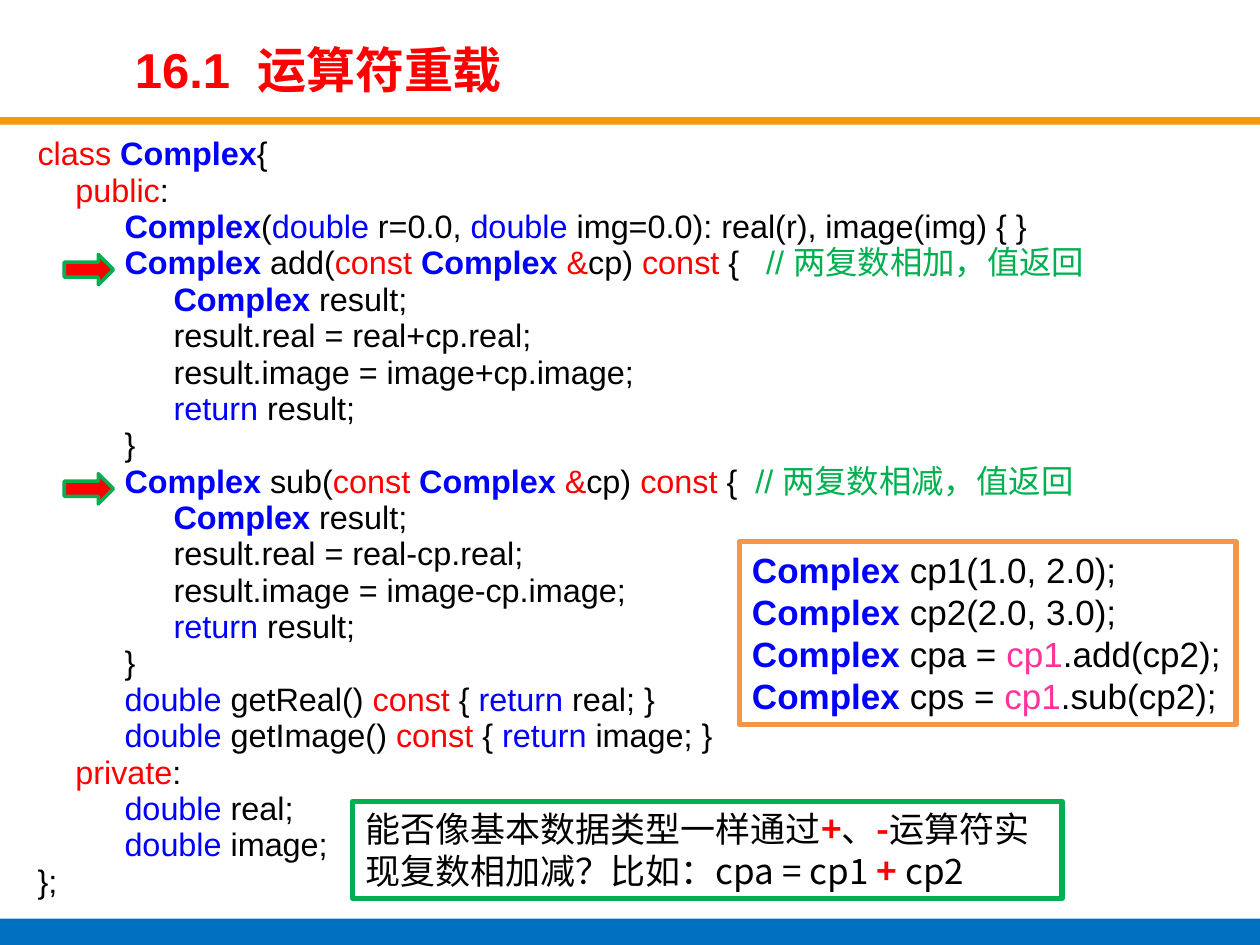
from itertools import groupby

from lxml.etree import SubElement
from pptx import Presentation
from pptx.dml.color import RGBColor
from pptx.enum.shapes import MSO_SHAPE
from pptx.enum.text import MSO_ANCHOR, PP_ALIGN
from pptx.oxml.ns import qn
from pptx.util import Inches, Pt

BLACK = RGBColor(0, 0, 0)
WHITE = RGBColor(255, 255, 255)
RED = RGBColor(255, 0, 0)
BLUE = RGBColor(0, 0, 255)
GREEN = RGBColor(0, 176, 80)
PINK = RGBColor(255, 51, 153)
ORANGE = RGBColor(247, 150, 70)
RULE_ORANGE = RGBColor(247, 153, 10)
FOOTER_BLUE = RGBColor(0, 112, 192)

LATIN, CJK = "Arial", "Noto Sans CJK SC"
PLAIN = (BLACK, False)
KEYWORDS = {
    **dict.fromkeys(["class", "public", "private", "const", "&"], (RED, False)),
    **dict.fromkeys(["double", "return"], (BLUE, False)),
    "Complex": (BLUE, True),
}
CALL_WORDS = {**KEYWORDS, "cp1": (PINK, False)}
OPERATORS = dict.fromkeys("+-", (RED, True))

INDENTS = [0, 0.3, 0.69, 1.08]
LINE_PITCH = 0.29
CODE = [
    (0, "class Complex{"),
    (1, "public:"),
    (2, "Complex(double r=0.0, double img=0.0): real(r), image(img) { }"),
    (2, "Complex add(const Complex &cp) const {   // 两复数相加，值返回"),
    (3, "Complex result;"),
    (3, "result.real = real+cp.real;"),
    (3, "result.image = image+cp.image;"),
    (3, "return result;"),
    (2, "}"),
    (2, "Complex sub(const Complex &cp) const {  // 两复数相减，值返回"),
    (3, "Complex result;"),
    (3, "result.real = real-cp.real;"),
    (3, "result.image = image-cp.image;"),
    (3, "return result;"),
    (2, "}"),
    (2, "double getReal() const { return real; }"),
    (2, "double getImage() const { return image; }"),
    (1, "private:"),
    (2, "double real;"),
    (2, "double image;"),
    (0, "};"),
]
USAGE = [
    "Complex cp1(1.0, 2.0);",
    "Complex cp2(2.0, 3.0);",
    "Complex cpa = cp1.add(cp2);",
    "Complex cps = cp1.sub(cp2);",
]
NOTE = "能否像基本数据类型一样通过+、-运算符实现复数相加减？比如：cpa = cp1 + cp2"


def add_run(p, text, style, size, font):
    """Append one run in the given (colour, bold) style."""
    r = p.add_run()
    r.text = text
    r.font.size, r.font.name = Pt(size), font
    r.font.color.rgb, r.font.bold = style
    SubElement(r.font._element, qn("a:ea")).set("typeface", CJK)


def add_highlighted(p, line, words, size, font):
    """Fill a paragraph, styling listed words and any trailing comment."""
    code, slashes, comment = line.partition("//")
    tokens = ["".join(g) for _, g in groupby(code, lambda c: c.isalnum() or c)]
    for style, group in groupby(tokens, lambda t: words.get(t, PLAIN)):
        add_run(p, "".join(group), style, size, font)
    if slashes:
        add_run(p, slashes + comment, (GREEN, False), size, font)


def paragraphs(tf, count):
    """Return the first paragraph of a frame and as many new ones as needed."""
    return [tf.paragraphs[0]] + [tf.add_paragraph() for _ in range(count - 1)]


def add_block(s, kind, box, fill, line=None, width=0):
    """Add a flat shape in a box of (left, top, width, height) inches."""
    sp = s.shapes.add_shape(kind, *map(Inches, box))
    sp.shadow.inherit = False
    sp.fill.solid()
    sp.fill.fore_color.rgb = fill
    if line is None:
        sp.line.fill.background()
    else:
        sp.line.color.rgb, sp.line.width = line, Pt(width)
    return sp


def add_title(s, box):
    """Place the slide title."""
    sp = s.shapes.title
    sp.left, sp.top, sp.width, sp.height = map(Inches, box)
    tf = sp.text_frame
    tf.vertical_anchor = MSO_ANCHOR.MIDDLE
    p = tf.paragraphs[0]
    p.alignment = PP_ALIGN.LEFT
    add_run(p, "16.1  运算符重载", (RED, True), 28, LATIN)


def add_listing(s, box):
    """Place the class listing with an arrow beside each commented method."""
    left, top, _, _ = box
    tf = s.shapes.add_textbox(*map(Inches, box)).text_frame
    tf.word_wrap = True
    for row, (p, (level, line)) in enumerate(zip(paragraphs(tf, len(CODE)), CODE)):
        p.alignment = PP_ALIGN.JUSTIFY
        p.line_spacing, p.space_after = 0.8, Pt(3)
        p._p.get_or_add_pPr().set("indent", str(Inches(INDENTS[level])))
        add_highlighted(p, line, KEYWORDS, 18.5, LATIN)
        if "//" in line:
            arrow = (left + 0.31, top + 0.08 + row * LINE_PITCH, 0.39, 0.24)
            add_block(s, MSO_SHAPE.RIGHT_ARROW, arrow, RED, GREEN, 2)


def add_panel(s, box, border, lines, words, font):
    """Place a bordered white panel of highlighted lines."""
    tf = add_block(s, MSO_SHAPE.RECTANGLE, box, WHITE, border, 3).text_frame
    tf.word_wrap = True
    tf.vertical_anchor = MSO_ANCHOR.TOP
    for p, line in zip(paragraphs(tf, len(lines)), lines):
        p.alignment = PP_ALIGN.LEFT
        add_highlighted(p, line, words if "=" in line else KEYWORDS, 20, font)


def main():
    """Build and save the slide."""
    prs = Presentation()
    prs.slide_width, prs.slide_height = Inches(10), Inches(7.5)
    s = prs.slides.add_slide(prs.slide_layouts[5])
    add_block(s, MSO_SHAPE.RECTANGLE, (0, 0.93, 10, 0.06), RULE_ORANGE)
    add_block(s, MSO_SHAPE.RECTANGLE, (0, 7.29, 10, 0.21), FOOTER_BLUE)
    add_title(s, (0.97, 0.27, 6.86, 0.55))
    add_listing(s, (0.2, 1.07, 9.37, 6.36))
    add_panel(s, (5.87, 4.3, 3.94, 1.45), ORANGE, USAGE, CALL_WORDS, LATIN)
    add_panel(s, (2.8, 6.36, 5.63, 0.77), GREEN, [NOTE], OPERATORS, CJK)
    prs.save("out.pptx")


if __name__ == "__main__":
    main()
